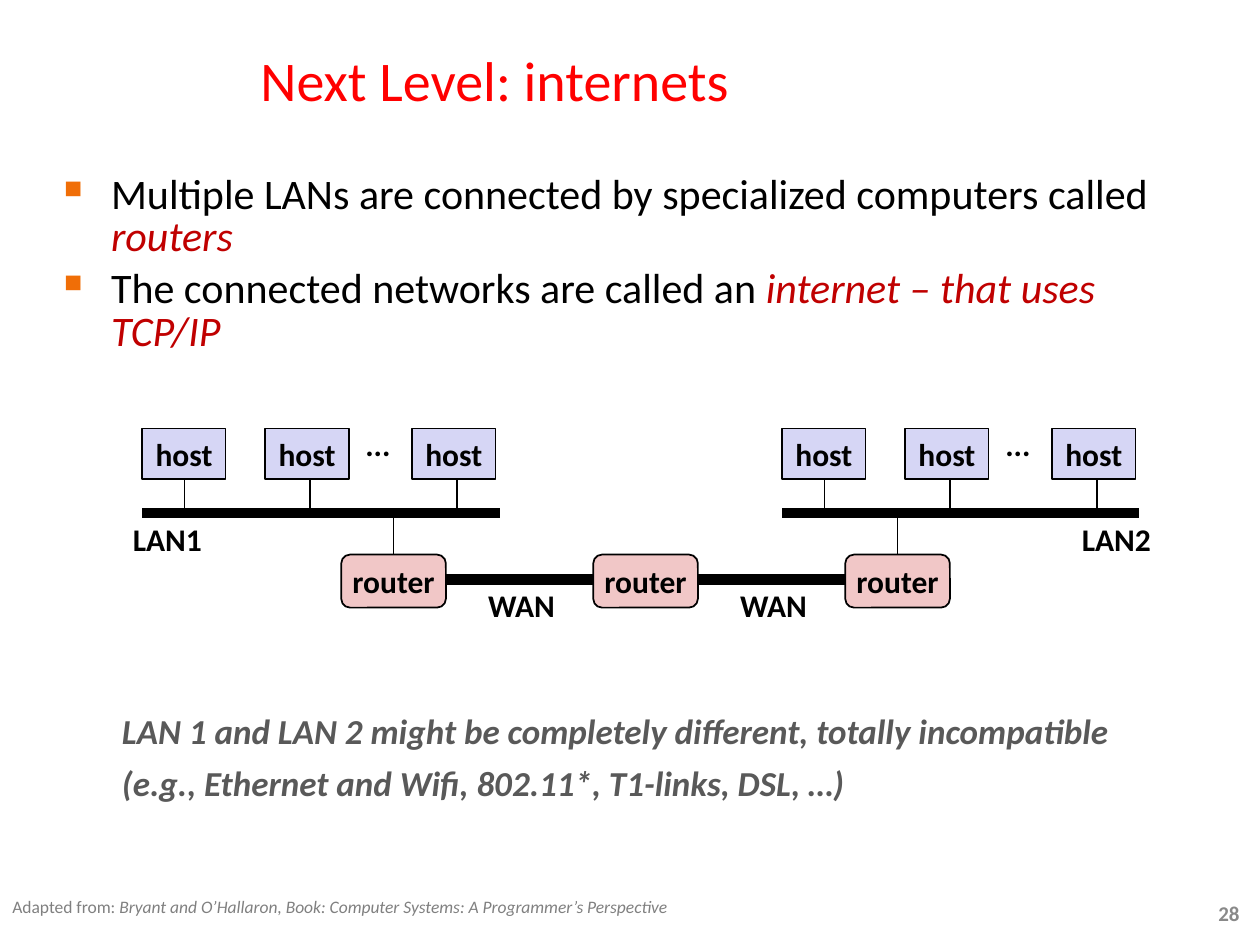
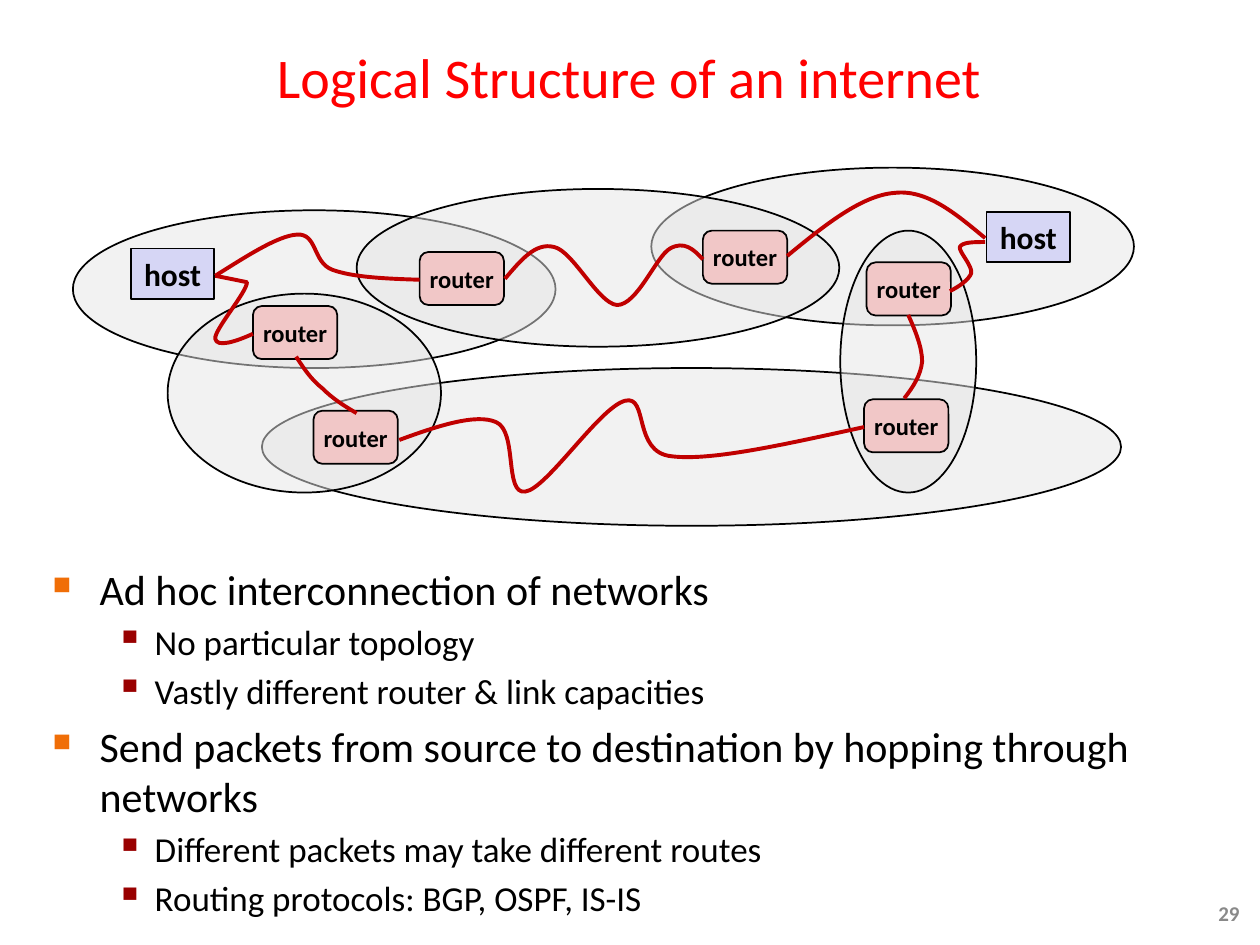
from dataclasses import dataclass

from lxml.etree import SubElement
from pptx import Presentation
from pptx.dml.color import RGBColor
from pptx.enum.shapes import MSO_CONNECTOR, MSO_SHAPE
from pptx.enum.text import MSO_ANCHOR, PP_ALIGN
from pptx.oxml.ns import qn
from pptx.util import Cm, Pt


@dataclass(frozen=True)
class Theme:
    font: str = "Calibri"
    ink: str = "000000"
    title: str = "FF0000"
    accent: str = "C00000"
    note: str = "595959"
    credit: str = "808080"
    number: str = "898989"
    host: str = "D6D6F5"
    router: str = "F1C7C7"
    network: str = "E6E6E6"
    title_size: int = 32
    body_sizes: tuple = (24, 20)
    note_size: int = 20
    label_size: int = 18
    small_label_size: int = 14
    number_size: int = 12
    credit_size: int = 10
    thin: float = 1
    route: float = 2.25
    cable: float = 6


@dataclass(frozen=True)
class Bullet:
    symbol: str
    color: str
    percent: int
    margin: float
    hanging: float


@dataclass(frozen=True)
class Box:
    left: float
    top: float
    width: float
    height: float

    def inner(self, x, y, width, height):
        return Box(self.left + x, self.top + y, width, height)

    def lengths(self):
        return Cm(self.left), Cm(self.top), Cm(self.width), Cm(self.height)


THEME = Theme()
BULLETS = (
    Bullet("■", "F06E07", 60, 0.95, 0.95),
    Bullet("▪", "990000", 110, 2.06, 0.79),
)
HOST_SIZE = (1.68, 1.02)
ROUTER_SIZE = (2.11, 1.07)
SMALL_ROUTER_SIZE = (1.7, 1.07)


def add_span(para, text, size, color=THEME.ink, bold=False, italic=False):
    span = para.add_run()
    span.text = text
    font = span.font
    font.name = THEME.font
    font.size = Pt(size)
    font.bold = bold
    font.italic = italic
    font.color.rgb = RGBColor.from_string(color)


def add_text_box(page, box, anchor=MSO_ANCHOR.TOP, wrap=True):
    frame = page.shapes.add_textbox(*box.lengths()).text_frame
    frame.word_wrap = wrap
    frame.vertical_anchor = anchor
    return frame


def add_title(page, box, text):
    para = add_text_box(page, box, MSO_ANCHOR.MIDDLE).paragraphs[0]
    para.alignment = PP_ALIGN.CENTER
    add_span(para, text, THEME.title_size, THEME.title)


def add_page_number(page, number):
    frame = add_text_box(page, Box(24.31, 18.03, 1.02, 0.76), MSO_ANCHOR.MIDDLE)
    add_span(frame.paragraphs[0], str(number), THEME.number_size, THEME.number, bold=True)


def set_bullet(para, bullet):
    properties = para._p.get_or_add_pPr()
    properties.set("marL", str(Cm(bullet.margin)))
    properties.set("indent", str(-Cm(bullet.hanging)))
    color = SubElement(properties, qn("a:buClr"))
    SubElement(color, qn("a:srgbClr"), val=bullet.color)
    SubElement(properties, qn("a:buSzPct"), val=str(bullet.percent * 1000))
    SubElement(properties, qn("a:buChar"), char=bullet.symbol)


def add_bullets(page, box, items, line_spacing=1.0):
    frame = add_text_box(page, box)
    for index, (level, text, emphasis) in enumerate(items):
        para = frame.add_paragraph() if index else frame.paragraphs[0]
        size = THEME.body_sizes[level]
        set_bullet(para, BULLETS[level])
        para.level = level
        para.line_spacing = line_spacing
        if index:
            para.space_before = Pt(0.2 * size)
        add_span(para, text, size)
        if emphasis:
            add_span(para, emphasis, size, THEME.accent, italic=True)


def set_line(line, color, width):
    line.color.rgb = RGBColor.from_string(color)
    line.width = Pt(width)


def add_wire(page, start, end, width=THEME.thin):
    ends = [Cm(value) for value in (*start, *end)]
    wire = page.shapes.add_connector(MSO_CONNECTOR.STRAIGHT, *ends)
    set_line(wire.line, THEME.ink, width)
    SubElement(wire.element.spPr, qn("a:effectLst"))


def add_solid(page, kind, box, fill):
    solid = page.shapes.add_shape(kind, *box.lengths())
    solid.shadow.inherit = False
    solid.fill.solid()
    solid.fill.fore_color.rgb = RGBColor.from_string(fill)
    set_line(solid.line, THEME.ink, THEME.thin)
    return solid


def write_label(frame, text, size=THEME.label_size):
    frame.word_wrap = False
    frame.vertical_anchor = MSO_ANCHOR.MIDDLE
    para = frame.paragraphs[0]
    para.alignment = PP_ALIGN.CENTER
    add_span(para, text, size, bold=True)


def add_label(page, box, text):
    write_label(add_text_box(page, box, wrap=False), text)


def add_host(page, box):
    write_label(add_solid(page, MSO_SHAPE.RECTANGLE, box, THEME.host).text_frame, "host")


def add_router(page, box, size=THEME.label_size):
    router = add_solid(page, MSO_SHAPE.ROUNDED_RECTANGLE, box, THEME.router)
    write_label(router.text_frame, "router", size)


def add_network(page, box):
    network = add_solid(page, MSO_SHAPE.OVAL, box, THEME.network)
    color = network.element.spPr.find(qn("a:solidFill"))[0]
    SubElement(color, qn("a:alpha"), val="50000")


def add_route(page, box, points):
    spots = [(Cm(box.left + x), Cm(box.top + y)) for x, y in points]
    builder = page.shapes.build_freeform(*spots[0])
    builder.add_line_segments(spots[1:], close=False)
    route = builder.convert_to_shape()
    route.shadow.inherit = False
    route.fill.background()
    set_line(route.line, THEME.accent, THEME.route)
    curve = next(route.element.iter(qn("a:path")))
    segments = curve.findall(qn("a:lnTo"))
    for first in range(0, len(segments), 3):
        bend = SubElement(curve, qn("a:cubicBezTo"))
        for segment in segments[first:first + 3]:
            bend.append(segment[0])
            curve.remove(segment)


def add_lan(page, box, name, name_left):
    bus = box.top + box.height
    add_wire(page, (box.left, bus), (box.left + box.width, bus), THEME.cable)
    for host_left, wire_left in ((0, 0.85), (2.48, 3.38), (5.44, 6.35)):
        x = box.left + wire_left
        add_wire(page, (x, box.top + HOST_SIZE[1]), (x, bus))
        add_host(page, box.inner(host_left, 0, *HOST_SIZE))
    add_label(page, box.inner(4.24, -0.2, 1.02, 1.02), "...")
    add_label(page, box.inner(name_left, box.height + 0.02, 1.93, 1.02), name)


def add_wan(page, box, bus):
    width, height = ROUTER_SIZE
    step = (box.width - width) / 2
    cable = box.top + 0.5
    for index in range(3):
        left = index * step
        center = box.left + left + width / 2
        if index != 1:
            add_wire(page, (center, bus), (center, box.top))
        if index < 2:
            gap = box.left + left + width
            add_wire(page, (gap, cable), (box.left + left + step, cable), THEME.cable)
            label = box.inner(left + (width + step) / 2 - 0.9, 0.5, 1.88, 1.02)
            add_label(page, label, "WAN")
        add_router(page, box.inner(left, 0, width, height))


def add_note(page, box, lines):
    frame = add_text_box(page, box)
    for index, line in enumerate(lines):
        para = frame.add_paragraph() if index else frame.paragraphs[0]
        if index:
            para.space_before = Pt(6)
        add_span(para, line, THEME.note_size, THEME.note, bold=True, italic=True)


def add_credit(page, box):
    para = add_text_box(page, box).paragraphs[0]
    add_span(para, "Adapted from: ", THEME.credit_size, THEME.credit)
    book = "Bryant and O’Hallaron, Book: Computer Systems: A Programmer’s Perspective"
    add_span(para, book, THEME.credit_size, THEME.credit, italic=True)


def add_internet_map(page, box):
    networks = (
        (0, 0.86, 9.73, 3.18), (3.81, 4.04, 17.32, 3.18), (11.66, 0, 9.73, 3.18),
        (5.72, 0.43, 9.73, 3.18), (1.91, 2.54, 5.51, 4.01), (15.47, 1.27, 2.74, 5.28),
    )
    routers = ((3.63, 2.79), (4.85, 4.9), (6.99, 1.7), (12.7, 1.27), (15.95, 4.67), (16, 1.91))
    hosts = ((18.42, 0.89), (1.17, 1.63))
    routes = (
        ((2.87, 2.18), (2.87, 2.18), (3.51, 2.31), (3.51, 2.31), (3.51, 2.51),
         (2.84, 3.28), (2.87, 3.45), (2.9, 3.63), (3.28, 3.51), (3.63, 3.35)),
        ((2.87, 2.18), (3.51, 1.78), (4.14, 1.37), (4.52, 1.35), (4.93, 1.32),
         (4.83, 1.91), (5.23, 2.06), (5.64, 2.21), (6.32, 2.24), (6.99, 2.26)),
        ((4.5, 3.81), (4.65, 4.04), (4.8, 4.27), (5.03, 4.45), (5.23, 4.65),
         (5.46, 4.8), (5.72, 4.95)),
        ((8.71, 2.24), (9.02, 1.88), (9.32, 1.5), (9.7, 1.6), (10.08, 1.68),
         (10.59, 2.74), (10.97, 2.77), (11.38, 2.77), (11.76, 1.78), (12.04, 1.63),
         (12.32, 1.47), (12.52, 1.65), (12.7, 1.85)),
        ((14.4, 1.78), (15.14, 1.17), (15.9, 0.56), (16.56, 0.51), (17.22, 0.43),
         (17.81, 0.94), (18.39, 1.42)),
        ((6.58, 5.49), (7.34, 5.21), (8.13, 4.95), (8.53, 5.13), (8.97, 5.31),
         (8.69, 6.6), (9.12, 6.53), (9.55, 6.48), (10.62, 4.83), (11.13, 4.7),
         (11.61, 4.57), (11.28, 5.74), (12.07, 5.82), (12.88, 5.92), (14.43, 5.56),
         (15.95, 5.23)),
        ((16.76, 4.65), (16.94, 4.42), (17.09, 4.19), (17.12, 3.91), (17.12, 3.63),
         (16.99, 3.3), (16.84, 2.97)),
        ((17.68, 2.49), (17.88, 2.39), (18.06, 2.26), (18.11, 2.13), (18.14, 1.98),
         (17.86, 1.7), (17.88, 1.6), (17.93, 1.5), (18.16, 1.5), (18.39, 1.5)),
    )
    for network in networks:
        add_network(page, box.inner(*network))
    for spot in routers:
        add_router(page, box.inner(*spot, *SMALL_ROUTER_SIZE), THEME.small_label_size)
    for spot in hosts:
        add_host(page, box.inner(*spot, *HOST_SIZE))
    for points in routes:
        add_route(page, box, points)


def add_page(deck, number, title, title_box):
    page = deck.slides.add_slide(deck.slide_layouts[6])
    add_page_number(page, number)
    add_title(page, title_box, title)
    return page


def build_next_level(deck):
    page = add_page(deck, 28, "Next Level: internets", Box(1.02, 0.79, 17.91, 1.6))
    add_bullets(page, Box(1.04, 3.4, 23.09, 3.38), (
        (0, "Multiple LANs are connected by specialized computers called ", "routers"),
        (0, "The connected networks are called an ", "internet – that uses TCP/IP"),
    ), line_spacing=0.85)
    add_lan(page, Box(2.87, 8.64, 7.2, 1.7), "LAN1", -0.46)
    add_lan(page, Box(15.77, 8.64, 7.2, 1.7), "LAN2", 5.77)
    add_wan(page, Box(6.88, 11.18, 12.27, 1.07), bus=10.34)
    add_note(page, Box(2.21, 14.17, 22.56, 2.18), (
        "LAN 1 and LAN 2 might be completely different, totally incompatible",
        "(e.g., Ethernet and Wifi, 802.11*, T1-links, DSL, …)",
    ))
    add_credit(page, Box(0, 17.93, 16.41, 0.69))


def build_logical_structure(deck):
    page = add_page(deck, 29, "Logical Structure of an internet", Box(0.99, 0.53, 23.39, 2))
    add_bullets(page, Box(0.81, 11.23, 23.09, 5.84), (
        (0, "Ad hoc interconnection of networks", ""),
        (1, "No particular topology", ""),
        (1, "Vastly different router & link capacities", ""),
        (0, "Send packets from source to destination by hopping through networks", ""),
        (1, "Different packets may take different routes", ""),
        (1, "Routing protocols: BGP, OSPF, IS-IS", ""),
    ))
    add_internet_map(page, Box(1.47, 3.38, 21.39, 7.22))


def main():
    deck = Presentation()
    deck.slide_width, deck.slide_height = Cm(25.4), Cm(19.05)
    build_next_level(deck)
    build_logical_structure(deck)
    deck.save("out.pptx")


if __name__ == "__main__":
    main()
